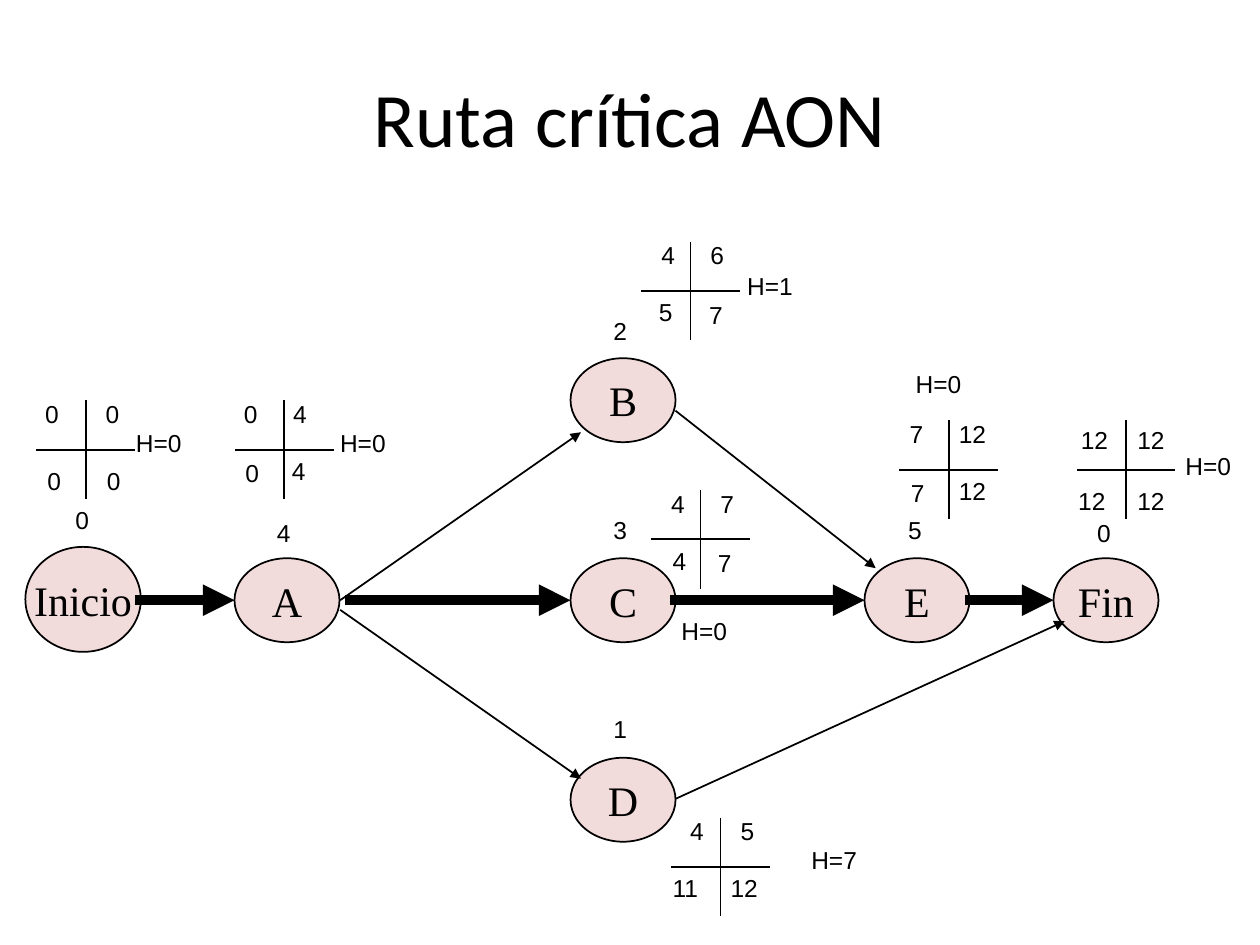
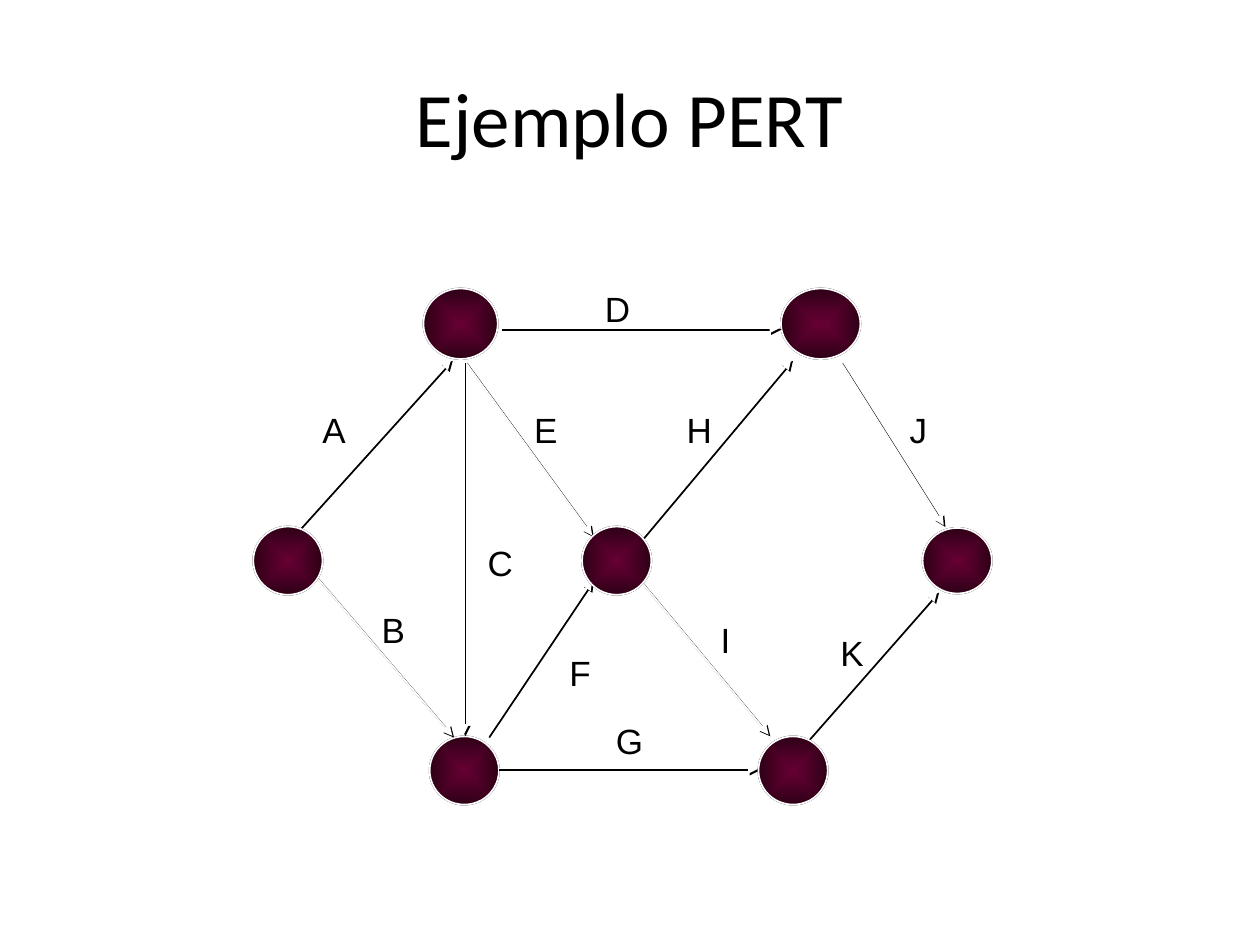
from dataclasses import dataclass
from typing import Optional

import pptx
import pptx.dml.color
import pptx.enum.shapes
import pptx.enum.text
import pptx.oxml
import pptx.oxml.ns
import pptx.shapes.autoshape
import pptx.shapes.connector
import pptx.slide
import pptx.text.text
import pptx.util

Pt = pptx.util.Pt
ALIGN = pptx.enum.text.PP_ALIGN
ANCHOR = pptx.enum.text.MSO_ANCHOR
OVAL = pptx.enum.shapes.MSO_SHAPE.OVAL

COLOURS = {
    "ink": "000000",
    "paper": "FFFFFF",
    "activity": "F2DCDB",
    "event": "660033",
}
TITLE_FONT, LABEL_FONT, ACTIVITY_FONT = "Calibri", "Arial", "Times New Roman"
CROSS_HALF = 28.2
DIGIT_WIDTHS = {1: 24.5, 2: 34.5, 3: 48}  # label box width by text length
ARROW_SHADOW = 1.4
NAMESPACE = pptx.oxml.ns.nsdecls("a")


@dataclass(frozen=True)
class Label:
    text: str
    left: float
    top: float


@dataclass(frozen=True)
class Activity:
    """Oval with its duration, and a cross of four times with its slack.

    Each time is placed by its offset from the centre of the cross.
    """
    name: str
    x: float
    y: float
    duration: Label
    cross: tuple[float, float]
    times: tuple[Label, Label, Label, Label]
    slack: Label
    width: float = 60
    height: float = 48


@dataclass(frozen=True)
class Arrow:
    x1: float
    y1: float
    x2: float
    y2: float
    weight: float = 1


@dataclass(frozen=True)
class Event:
    x: float
    y: float
    width: float = 39.6
    height: float = 39


@dataclass(frozen=True)
class ArcLabel:
    name: str
    left: float
    top: float
    width: float = 30.5


ROW = 343  # height of the critical path
TOP = -32.4  # offset of the upper times in a cross

ACTIVITIES = [
    Activity("Inicio", 47.5, 342.5, Label("0", 36, 285), (49, 257),
             (Label("0", -30.2, TOP), Label("0", 4.3, TOP),
              Label("0", -29, 5.8), Label("0", 5, 5.8)),
             Label("H=0", 70.6, 241.2), 66, 60),
    Activity("A", 164, ROW, Label("4", 151.2, 292.3), (162.5, 257),
             (Label("0", -30.2, TOP), Label("4", -2, TOP),
              Label("0", -29.3, 1.4), Label("4", -2.7, 0)),
             Label("H=0", 187.2, 241.2)),
    Activity("B", 356, 228.7, Label("2", 343.4, 177.1), (394.6, 166.3),
             (Label("4", -23.8, TOP), Label("6", 4.3, TOP),
              Label("5", -25.2, 0), Label("7", 3.6, 1.4)),
             Label("H=1", 419.8, 151.2)),
    Activity("C", 356, ROW, Label("3", 343.4, 290.9), (400.3, 308.2),
             (Label("4", -23.8, TOP), Label("7", 4.3, TOP),
              Label("4", -23, 0), Label("7", 2.9, 1.4)),
             Label("H=0", 382.3, 348.5)),
    Activity("D", 356, 457, Label("1", 343.4, 404.6), (411.8, 495.4),
             (Label("4", -24.5, TOP), Label("5", 4.3, TOP),
              Label("11", -34.5, 0), Label("12", -1.4, 0)),
             Label("H=7", 456.5, 479.5)),
    Activity("E", 524, ROW, Label("5", 511.9, 290.9), (542.2, 268.4),
             (Label("7", -29.5, TOP), Label("12", -1.4, TOP),
              Label("7", -28.8, 1.4), Label("12", -1.4, 0)),
             Label("H=0", 516.2, 207.4)),
    Activity("Fin", 632, ROW, Label("0", 619.9, 292.3), (643.5, 268.4),
             (Label("12", -33, -28.8), Label("12", -0.7, -28.8),
              Label("12", -34.5, 5.8), Label("12", -0.7, 5.8)),
             Label("H=0", 670.3, 254.2)),
]

PRECEDENCES = [
    Arrow(80, ROW, 134, ROW, 6),
    Arrow(194.4, ROW, 332, 247),
    Arrow(200, ROW, 326, ROW, 6),
    Arrow(194.4, 348.5, 332, 445),
    Arrow(386, ROW, 494, ROW, 6),
    Arrow(386, 234.7, 500.4, 324.7),
    Arrow(554.4, ROW, 602, ROW, 6),
    Arrow(386, 456.5, 608.4, 355),
]

BACK_EVENTS = [
    Event(547, 320.4, height=37.5),
    Event(263.2, 185, 42.5, 40.3),
    Event(469, 185, 45.4, 40.3),
    Event(265.3, 440.3),
]
FRONT_EVENTS = [Event(164.5, 320.4), Event(453.2, 440.3), Event(352.4, 320.4)]

ARCS = [
    Arrow(171.4, 301, 257.8, 205.2),
    Arrow(285.8, 187.4, 445.7, 187.4),
    Arrow(480.2, 206.6, 539.3, 300.2),
    Arrow(457.2, 427, 535.7, 337.7),
    Arrow(284.4, 439.2, 433.4, 439.2),
    Arrow(177.1, 325.4, 258.5, 420.5),
    Arrow(265.7, 206.6, 338.4, 306),
    Arrow(366.5, 307.4, 452.2, 205.2),
    Arrow(366.5, 332.6, 439.2, 419.8),
    Arrow(265, 206.6, 265, 419.8),
    Arrow(278.6, 420.5, 338.4, 331.2),
]

ARC_LABELS = [
    ArcLabel("A", 175.7, 229), ArcLabel("D", 337, 159.8, 31.5),
    ArcLabel("C", 270, 305.3, 31.5), ArcLabel("B", 209.5, 343.4),
    ArcLabel("F", 316.8, 368, 29.5), ArcLabel("E", 296.6, 229),
    ArcLabel("G", 343.4, 406.8, 32.5), ArcLabel("I", 403.2, 349.2, 22.5),
    ArcLabel("H", 383.8, 229, 31.5), ArcLabel("K", 471.6, 356.4),
    ArcLabel("J", 511.2, 229, 27.5),
]


def rgb(colour: str) -> pptx.dml.color.RGBColor:
    return pptx.dml.color.RGBColor.from_string(COLOURS[colour])


def write(frame: pptx.text.text.TextFrame, text: str, font: str, size: float,
          align: ALIGN = ALIGN.LEFT) -> None:
    paragraph = frame.paragraphs[0]
    paragraph.alignment = align
    run = paragraph.add_run()
    run.text = text
    run.font.name, run.font.size = font, Pt(size)
    run.font.color.rgb = rgb("ink")


def add_label(slide: pptx.slide.Slide, text: str, left: float, top: float,
              width: float, height: float, size: float,
              margins: tuple[float, float] = (7.2, 3.6)) -> None:
    frame = slide.shapes.add_textbox(Pt(left), Pt(top), Pt(width), Pt(height)).text_frame
    frame.margin_left = frame.margin_right = Pt(margins[0])
    frame.margin_top = frame.margin_bottom = Pt(margins[1])
    frame.word_wrap = False
    frame.auto_size = pptx.enum.text.MSO_AUTO_SIZE.SHAPE_TO_FIT_TEXT
    write(frame, text, LABEL_FONT, size)


def add_figure(slide: pptx.slide.Slide, label: Label,
               origin: tuple[float, float] = (0, 0)) -> None:
    add_label(slide, label.text, origin[0] + label.left, origin[1] + label.top,
              DIGIT_WIDTHS[len(label.text)], 28.8, 14)


def effects(distance: Optional[float]):
    """Effect list with a solid shadow, or an empty one without a distance."""
    shadow = "" if distance is None else (
        f'<a:outerShdw blurRad="0" dist="{Pt(distance)}" dir="2700000" algn="ctr" '
        f'rotWithShape="0"><a:srgbClr val="{COLOURS["ink"]}"/></a:outerShdw>')
    return pptx.oxml.parse_xml(f"<a:effectLst {NAMESPACE}>{shadow}</a:effectLst>")


def add_line(slide: pptx.slide.Slide, line: Arrow, colour: str = "ink",
             head: bool = False, shadow: Optional[float] = None) -> None:
    connector = slide.shapes.add_connector(
        pptx.enum.shapes.MSO_CONNECTOR.STRAIGHT,
        Pt(line.x1), Pt(line.y1), Pt(line.x2), Pt(line.y2))
    connector.line.color.rgb = rgb(colour)
    connector.line.width = Pt(line.weight)
    stroke = connector.line._get_or_add_ln()
    if line.weight > 1:
        stroke.set("cap", "sq")
    if head:
        stroke.append(pptx.oxml.parse_xml(f'<a:tailEnd {NAMESPACE} type="triangle"/>'))
    connector._element.spPr.append(effects(shadow))


def add_oval(slide: pptx.slide.Slide, place: Activity | Event,
             outline: str) -> pptx.shapes.autoshape.Shape:
    oval = slide.shapes.add_shape(
        OVAL, Pt(place.x - place.width / 2), Pt(place.y - place.height / 2),
        Pt(place.width), Pt(place.height))
    oval.shadow.inherit = False
    oval.line.color.rgb = rgb(outline)
    oval.line.width = Pt(1)
    return oval


def add_activity(slide: pptx.slide.Slide, activity: Activity) -> None:
    oval = add_oval(slide, activity, "ink")
    oval.fill.solid()
    oval.fill.fore_color.rgb = rgb("activity")
    frame = oval.text_frame
    frame.word_wrap = False
    frame.vertical_anchor = ANCHOR.MIDDLE
    write(frame, activity.name, ACTIVITY_FONT, 24, ALIGN.CENTER)


def add_times(slide: pptx.slide.Slide, activity: Activity) -> None:
    x, y = activity.cross
    add_line(slide, Arrow(x, y - CROSS_HALF, x, y + CROSS_HALF))
    add_line(slide, Arrow(x - CROSS_HALF, y, x + CROSS_HALF, y))
    for time in activity.times:
        add_figure(slide, time, activity.cross)
    add_figure(slide, activity.duration)
    add_figure(slide, activity.slack)


def add_event(slide: pptx.slide.Slide, event: Event) -> None:
    oval = add_oval(slide, event, "paper")
    properties = oval._element.spPr
    # Radial gradient, darker towards the rim
    oval.fill.background()
    tone = COLOURS["event"]
    gradient = pptx.oxml.parse_xml(
        f'<a:gradFill {NAMESPACE} rotWithShape="0"><a:gsLst>'
        f'<a:gs pos="0"><a:srgbClr val="{tone}"/></a:gs>'
        f'<a:gs pos="100000"><a:srgbClr val="{tone}"><a:gamma/>'
        '<a:shade val="46275"/><a:invGamma/></a:srgbClr></a:gs></a:gsLst>'
        '<a:path path="shape"><a:fillToRect l="50000" t="50000" r="50000" b="50000"/>'
        '</a:path></a:gradFill>')
    properties.replace(properties.find(pptx.oxml.ns.qn("a:noFill")), gradient)
    properties.replace(properties.find(pptx.oxml.ns.qn("a:effectLst")), effects(0))


def add_titled_slide(deck, title: str) -> pptx.slide.Slide:
    slide = deck.slides.add_slide(deck.slide_layouts[6])
    slide.background.fill.solid()
    slide.background.fill.fore_color.rgb = rgb("paper")
    frame = slide.shapes.add_textbox(Pt(36), Pt(21.6), Pt(648), Pt(90)).text_frame
    frame.margin_left = frame.margin_right = Pt(7.2)
    frame.margin_top = frame.margin_bottom = Pt(7.2)
    frame.word_wrap = True
    frame.vertical_anchor = ANCHOR.MIDDLE
    write(frame, title, TITLE_FONT, 44, ALIGN.CENTER)
    return slide


def main() -> None:
    deck = pptx.Presentation()
    deck.slide_width, deck.slide_height = Pt(720), Pt(540)

    # Critical path, activities on nodes
    critical_path = add_titled_slide(deck, "Ruta crítica AON")
    for activity in ACTIVITIES:
        add_activity(critical_path, activity)
    for precedence in PRECEDENCES:
        add_line(critical_path, precedence, head=True)
    for activity in ACTIVITIES:
        add_times(critical_path, activity)

    # PERT network, activities on arcs
    network = add_titled_slide(deck, "Ejemplo PERT")
    for event in BACK_EVENTS:
        add_event(network, event)
    for arc in ARCS:
        add_line(network, arc, "paper", head=True, shadow=ARROW_SHADOW)
    for label in ARC_LABELS:
        add_label(network, label.name, label.left, label.top, label.width, 32.4, 20, (8.6, 4.3))
    for event in FRONT_EVENTS:
        add_event(network, event)

    deck.save("out.pptx")


if __name__ == "__main__":
    main()
